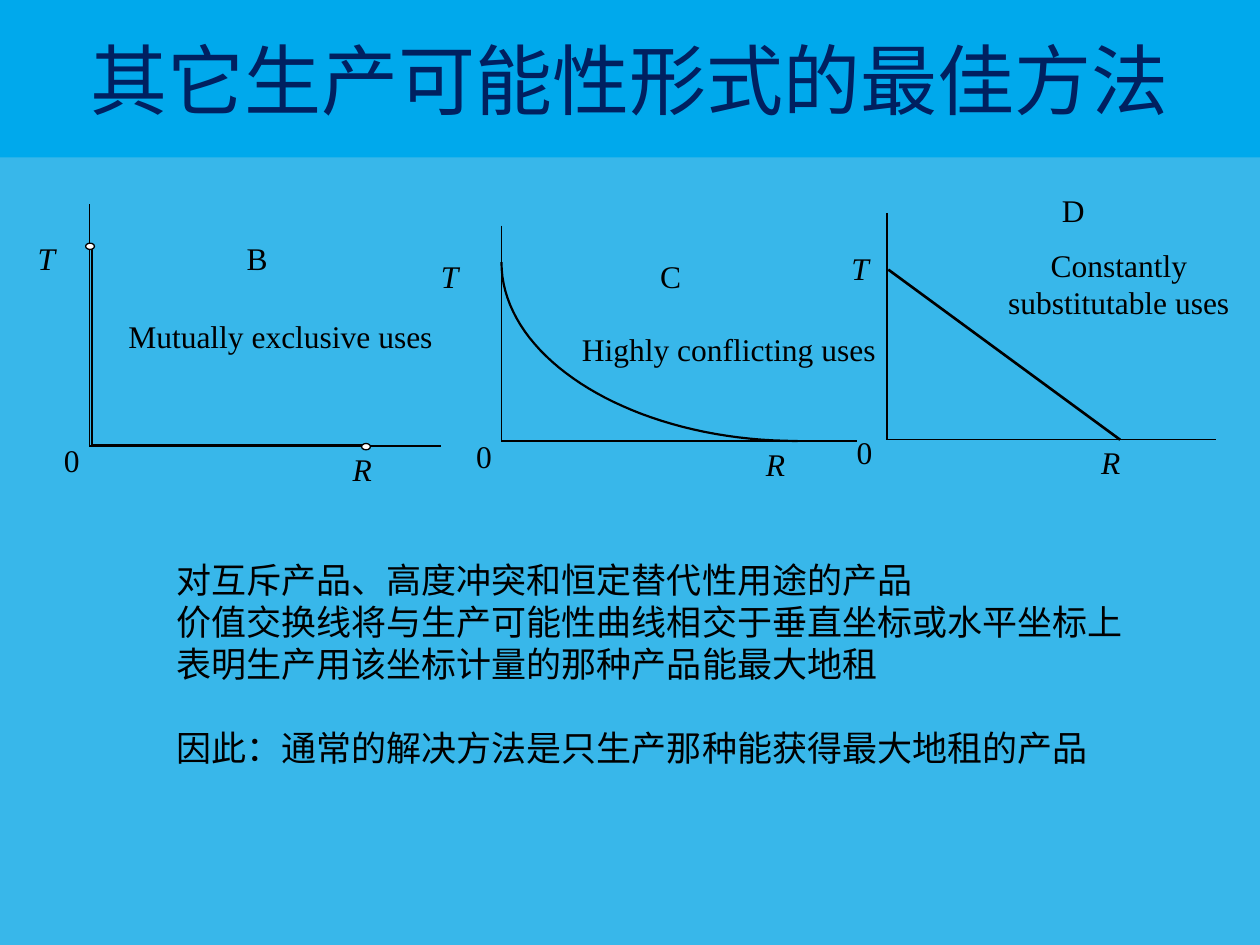
"""Build a slide comparing three production possibility forms."""
from dataclasses import dataclass

from lxml import etree
from pptx import Presentation
from pptx.dml.color import RGBColor
from pptx.enum.shapes import MSO_CONNECTOR, MSO_SHAPE
from pptx.enum.text import MSO_ANCHOR, MSO_AUTO_SIZE, PP_ALIGN
from pptx.oxml.ns import qn
from pptx.util import Inches, Pt

STRAIGHT = MSO_CONNECTOR.STRAIGHT
OVAL = MSO_SHAPE.OVAL
MIDDLE = MSO_ANCHOR.MIDDLE
NO_FIT = MSO_AUTO_SIZE.NONE
LEFT, CENTER = PP_ALIGN.LEFT, PP_ALIGN.CENTER


@dataclass(frozen=True)
class Theme:
    background: RGBColor = RGBColor(0x38, 0xB7, 0xEA)
    banner: RGBColor = RGBColor(0x00, 0xA9, 0xEC)
    heading: RGBColor = RGBColor(0x00, 0x20, 0x60)
    ink: RGBColor = RGBColor(0, 0, 0)
    dot: RGBColor = RGBColor(0xFF, 0xFF, 0xFF)
    cjk: str = "Noto Sans CJK SC"
    latin: str = "Times New Roman"
    title_size: int = 44
    body_size: int = 20
    label_size: int = 18
    thin: float = 0.75
    curve: float = 1.25
    thick: float = 1.5


theme = Theme()


def add_text(tf, lines, font, size, color, align=LEFT, italic=False):
    for i, line in enumerate(lines):
        p = tf.paragraphs[0] if i == 0 else tf.add_paragraph()
        p.alignment = align
        r = p.add_run()
        r.text = line
        r.font.name = font
        r.font.size = Pt(size)
        r.font.italic = italic
        r.font.color.rgb = color
        ea = etree.SubElement(r.font._element, qn("a:ea"))
        ea.set("typeface", font)


def add_line(shapes, x1, y1, x2, y2, width):
    line = shapes.add_connector(STRAIGHT, Inches(x1), Inches(y1), Inches(x2), Inches(y2))
    line.line.color.rgb = theme.ink
    line.line.width = Pt(width)
    etree.SubElement(line._element.spPr, qn("a:effectLst"))


prs = Presentation()
prs.slide_width, prs.slide_height = Inches(10), Inches(7.5)
s = prs.slides.add_slide(prs.slide_layouts[5])
s.background.fill.solid()
s.background.fill.fore_color.rgb = theme.background

title = s.shapes.title
title.left, title.top, title.width, title.height = 0, 0, Inches(10), Inches(1.25)
title.fill.solid()
title.fill.fore_color.rgb = theme.banner
tf = title.text_frame
tf.auto_size = NO_FIT
tf.vertical_anchor = MIDDLE
add_text(tf, ["其它生产可能性形式的最佳方法"], theme.cjk, theme.title_size, theme.heading, CENTER)

panels = [
    dict(origin=(0.71, 3.54), top=1.62, right=3.5,
         labels={"T": (0.2, 1.85), "R": (2.7, 3.52), "B": (1.86, 1.85), "0": (0.41, 3.45)},
         caption="Mutually exclusive uses", box=(0.92, 2.47, 2.75, 0.35), align=LEFT,
         frontier=[(0.73, 1.97, 0.73, 3.54), (0.73, 3.53, 2.89, 3.53)], weight=theme.thin),
    dict(origin=(3.98, 3.5), top=1.79, right=6.8,
         labels={"T": (3.4, 1.99), "R": (5.98, 3.48), "C": (5.14, 1.99), "0": (3.68, 3.42)},
         caption="Highly conflicting uses", box=(4.52, 2.57, 2.75, 0.35), align=LEFT,
         frontier=[], weight=theme.curve),
    dict(origin=(7.04, 3.49), top=1.69, right=9.65,
         labels={"T": (6.66, 1.93), "R": (8.64, 3.47), "D": (8.33, 1.47), "0": (6.7, 3.39)},
         caption="Constantly substitutable uses", box=(7.88, 1.9, 2, 0.89), align=CENTER,
         frontier=[(7.05, 2.14, 8.89, 3.49)], weight=theme.thick),
]

for panel in panels:
    grp = s.shapes.add_group_shape().shapes
    x, y = panel["origin"]
    add_line(grp, x, panel["top"], x, y, theme.thin)
    add_line(grp, x, y, panel["right"], y, theme.thin)
    for text, (left, top) in panel["labels"].items():
        sp = grp.add_textbox(Inches(left), Inches(top), Inches(0.6), Inches(0.35))
        sp.text_frame.word_wrap = True
        add_text(sp.text_frame, [text], theme.latin, theme.label_size, theme.ink,
                 italic=text in "TR")
    sp = grp.add_textbox(*map(Inches, panel["box"]))
    sp.text_frame.word_wrap = True
    add_text(sp.text_frame, [panel["caption"]], theme.latin, theme.label_size, theme.ink,
             panel["align"])
    for ends in panel["frontier"]:
        add_line(grp, *ends, panel["weight"])

for left, top in [(0.68, 1.93), (2.87, 3.52)]:
    dot = s.shapes.add_shape(OVAL, Inches(left), Inches(top), Inches(0.07), Inches(0.05))
    dot.shadow.inherit = False
    dot.fill.solid()
    dot.fill.fore_color.rgb = theme.dot
    dot.line.color.rgb = theme.ink
    dot.line.width = Pt(theme.thin)

controls = [(6.33, 3.5), (5.04, 3.5), (3.98, 2.86), (3.98, 2.08)]
steps = 40
points = []
for i in range(steps + 1):
    t = i / steps
    weights = [(1 - t) ** 3, 3 * t * (1 - t) ** 2, 3 * t ** 2 * (1 - t), t ** 3]
    points.append(tuple(Inches(sum(w * c[axis] for w, c in zip(weights, controls)))
                        for axis in (0, 1)))
builder = s.shapes.build_freeform(*points[0])
builder.add_line_segments(points[1:], close=False)
curve = builder.convert_to_shape()
curve.shadow.inherit = False
curve.fill.background()
curve.line.color.rgb = theme.ink
curve.line.width = Pt(theme.curve)

body = s.shapes.add_textbox(Inches(1.3), Inches(4.38), Inches(7.78), Inches(1.78))
tf = body.text_frame
tf.word_wrap = False
add_text(tf, [
    "对互斥产品、高度冲突和恒定替代性用途的产品",
    "价值交换线将与生产可能性曲线相交于垂直坐标或水平坐标上",
    "表明生产用该坐标计量的那种产品能最大地租",
    "因此：通常的解决方法是只生产那种能获得最大地租的产品",
], theme.cjk, theme.body_size, theme.ink)
for p in tf.paragraphs:
    p.line_spacing = Pt(24)
tf.paragraphs[-1].space_before = Pt(24)

prs.save("out.pptx")
